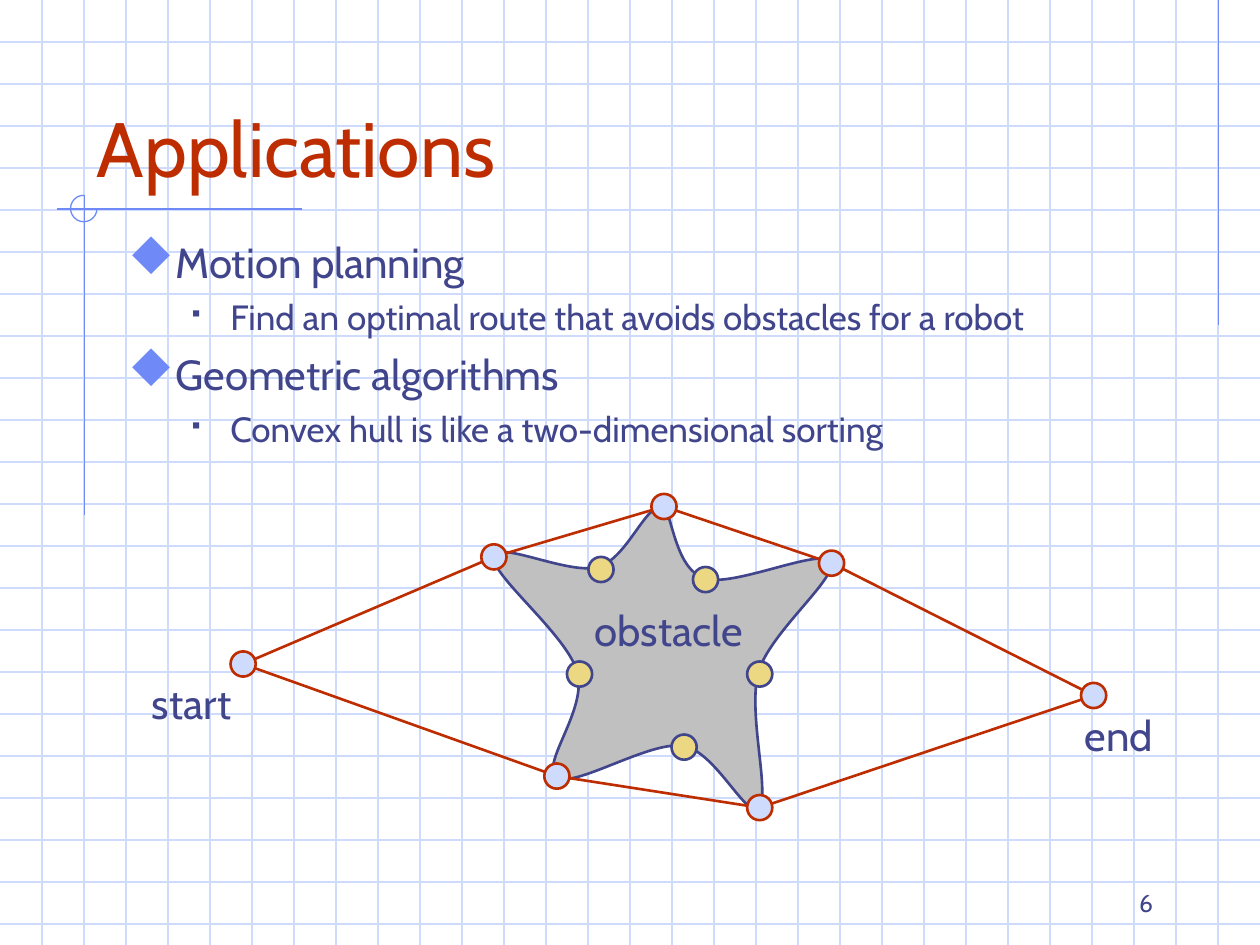
from lxml import etree
from pptx import Presentation
from pptx.dml.color import RGBColor
from pptx.enum import shapes, text
from pptx.oxml import ns
from pptx.util import Inches, Pt

COLORS = {"grid": "CFDBFD", "accent": "6F89F7", "ink": "40458C", "route": "BE2D00",
          "obstacle": "C0C0C0", "inner": "ECD882"}
FONT = "Cabin"
BULLET_FONT = "Wingdings"
WIDTH, HEIGHT = 10, 7.5
DOT = 0.2

LEVELS = [
    {"size": 24, "before": 6, "margin": 0.375, "indent": -0.375,
     "bullet": "u", "bullet_color": "accent", "bullet_size": 110},
    {"size": 20, "before": 5, "margin": 0.81, "indent": -0.31,
     "bullet": "§", "bullet_color": "ink", "bullet_size": 60},
]
BODY = [
    (0, "Motion planning"),
    (1, "Find an optimal route that avoids obstacles for a robot"),
    (0, "Geometric algorithms"),
    (1, "Convex hull is like a two-dimensional sorting"),
]
LABELS = [
    ("obstacle", (4.55, 4.75, 1.51, 0.5)),
    ("start", (1.06, 5.33, 0.92, 0.5)),
    ("end", (8.48, 5.58, 0.8, 0.5)),
]
ACCENT_LINES = [
    ((9.67, 0), (9.67, 2.58)),
    ((2.4, 1.66), (0.45, 1.66)),
    ((0.67, 1.55), (0.67, 4.09)),
]
ROUTE = [(1.93, 5.27), (3.92, 4.42), (5.27, 4.02), (6.6, 4.47),
         (8.68, 5.52), (6.03, 6.41), (4.42, 6.16)]
INNER_POINTS = [(5.6, 4.6), (4.6, 5.35), (6.03, 5.35), (5.43, 5.93), (4.77, 4.52)]
STAR_START = (5.27, 4.01)
STAR_CURVES = [
    ((5.12, 4), (4.98, 4.43), (4.75, 4.5)),
    ((4.52, 4.57), (3.94, 4.28), (3.92, 4.42)),
    ((3.89, 4.56), (4.5, 5.04), (4.58, 5.33)),
    ((4.67, 5.63), (4.28, 6.07), (4.42, 6.17)),
    ((4.56, 6.26), (5.15, 5.88), (5.42, 5.92)),
    ((5.68, 5.96), (5.92, 6.5), (6.02, 6.41)),
    ((6.12, 6.31), (5.93, 5.66), (6.02, 5.33)),
    ((6.12, 5.01), (6.66, 4.58), (6.59, 4.46)),
    ((6.52, 4.34), (5.81, 4.67), (5.59, 4.59)),
    ((5.37, 4.52), (5.34, 4.13), (5.27, 4.01)),
]


def rgb(name):
    return RGBColor.from_string(COLORS[name])


def inches(values):
    return [Inches(value) for value in values]


def add_line(slide, start, end, color, width):
    line = slide.shapes.add_connector(shapes.MSO_CONNECTOR.STRAIGHT, *inches(start + end))
    line.line.color.rgb = rgb(color)
    line.line.width = Pt(width)
    etree.SubElement(line._element.spPr, ns.qn("a:effectLst"))


def style_shape(shape, line, width, fill=None):
    shape.shadow.inherit = False
    shape.line.color.rgb = rgb(line)
    shape.line.width = Pt(width)
    if fill:
        shape.fill.solid()
        shape.fill.fore_color.rgb = rgb(fill)
    else:
        shape.fill.background()


def add_dot(slide, center, fill, line):
    x, y = center
    box = inches((x - DOT / 2, y - DOT / 2, DOT, DOT))
    style_shape(slide.shapes.add_shape(shapes.MSO_SHAPE.OVAL, *box), line, 1.5, fill)


def add_bullet(paragraph, level):
    properties = paragraph._p.get_or_add_pPr()
    properties.set("marL", str(Inches(level["margin"])))
    properties.set("indent", str(Inches(level["indent"])))
    color = etree.SubElement(properties, ns.qn("a:buClr"))
    etree.SubElement(color, ns.qn("a:srgbClr"), val=COLORS[level["bullet_color"]])
    etree.SubElement(properties, ns.qn("a:buSzPct"), val=str(level["bullet_size"] * 1000))
    etree.SubElement(properties, ns.qn("a:buFont"), typeface=BULLET_FONT, charset="2")
    etree.SubElement(properties, ns.qn("a:buChar"), char=level["bullet"])


def add_text(slide, lines, box, size=24, color="ink", align="LEFT", anchor="TOP", wrap=True):
    frame = slide.shapes.add_textbox(*inches(box)).text_frame
    frame.word_wrap = wrap
    frame.vertical_anchor = text.MSO_ANCHOR[anchor]
    for index, (depth, words) in enumerate(lines):
        paragraph = frame.add_paragraph() if index else frame.paragraphs[0]
        paragraph.text = words
        paragraph.alignment = text.PP_ALIGN[align]
        level = None if depth is None else LEVELS[depth]
        if level:
            paragraph.level = depth
            add_bullet(paragraph, level)
            if index:
                paragraph.space_before = Pt(level["before"])
        font = paragraph.runs[0].font
        font.name = FONT
        font.size = Pt(level["size"] if level else size)
        font.color.rgb = rgb(color)


def add_star(slide):
    builder = slide.shapes.build_freeform(*inches(STAR_START))
    builder.add_line_segments([inches(curve[-1]) for curve in STAR_CURVES], close=True)
    star = builder.convert_to_shape()
    segments = list(star._element.iter(ns.qn("a:lnTo")))
    for segment, curve in zip(segments, STAR_CURVES):
        bezier = etree.Element(ns.qn("a:cubicBezTo"))
        for x, y in curve:
            etree.SubElement(bezier, ns.qn("a:pt"), x=str(Inches(x) - star.left),
                             y=str(Inches(y) - star.top))
        segment.getparent().replace(segment, bezier)
    style_shape(star, "ink", 1.5, "obstacle")


def add_background(slide):
    for row in range(1, 23):
        add_line(slide, (0, row / 3), (WIDTH, row / 3), "grid", 0.75)
    for column in range(1, 30):
        add_line(slide, (column / 3, 0), (column / 3, HEIGHT), "grid", 0.75)
    for start, end in ACCENT_LINES:
        add_line(slide, start, end, "accent", 0.75)
    arc = slide.shapes.add_shape(shapes.MSO_SHAPE.ARC, *inches((0.56, 1.55, 0.21, 0.21)))
    arc.adjustments[0] = 0
    arc.adjustments[1] = 270 * 0.6
    style_shape(arc, "accent", 0.75)


def add_diagram(slide):
    add_star(slide)
    for start, end in zip(ROUTE, ROUTE[1:] + ROUTE[:1]):
        add_line(slide, start, end, "route", 1.5)
    for center in INNER_POINTS:
        add_dot(slide, center, "inner", "ink")
    for center in ROUTE:
        add_dot(slide, center, "grid", "route")
    for words, box in LABELS:
        add_text(slide, [(None, words)], box, align="CENTER", wrap=False)


def main():
    presentation = Presentation()
    presentation.slide_width, presentation.slide_height = inches((WIDTH, HEIGHT))
    slide = presentation.slides.add_slide(presentation.slide_layouts[6])
    add_background(slide)
    add_text(slide, [(None, "Applications")], (0.67, 0.33, 8.5, 1.25),
             size=44, color="route", anchor="BOTTOM")
    add_text(slide, BODY, (0.92, 1.83, 8.5, 2.08))
    add_diagram(slide)
    add_text(slide, [(None, "6")], (7.17, 6.83, 2.08, 0.5),
             size=14, align="RIGHT", anchor="BOTTOM")
    presentation.save("out.pptx")


if __name__ == "__main__":
    main()
